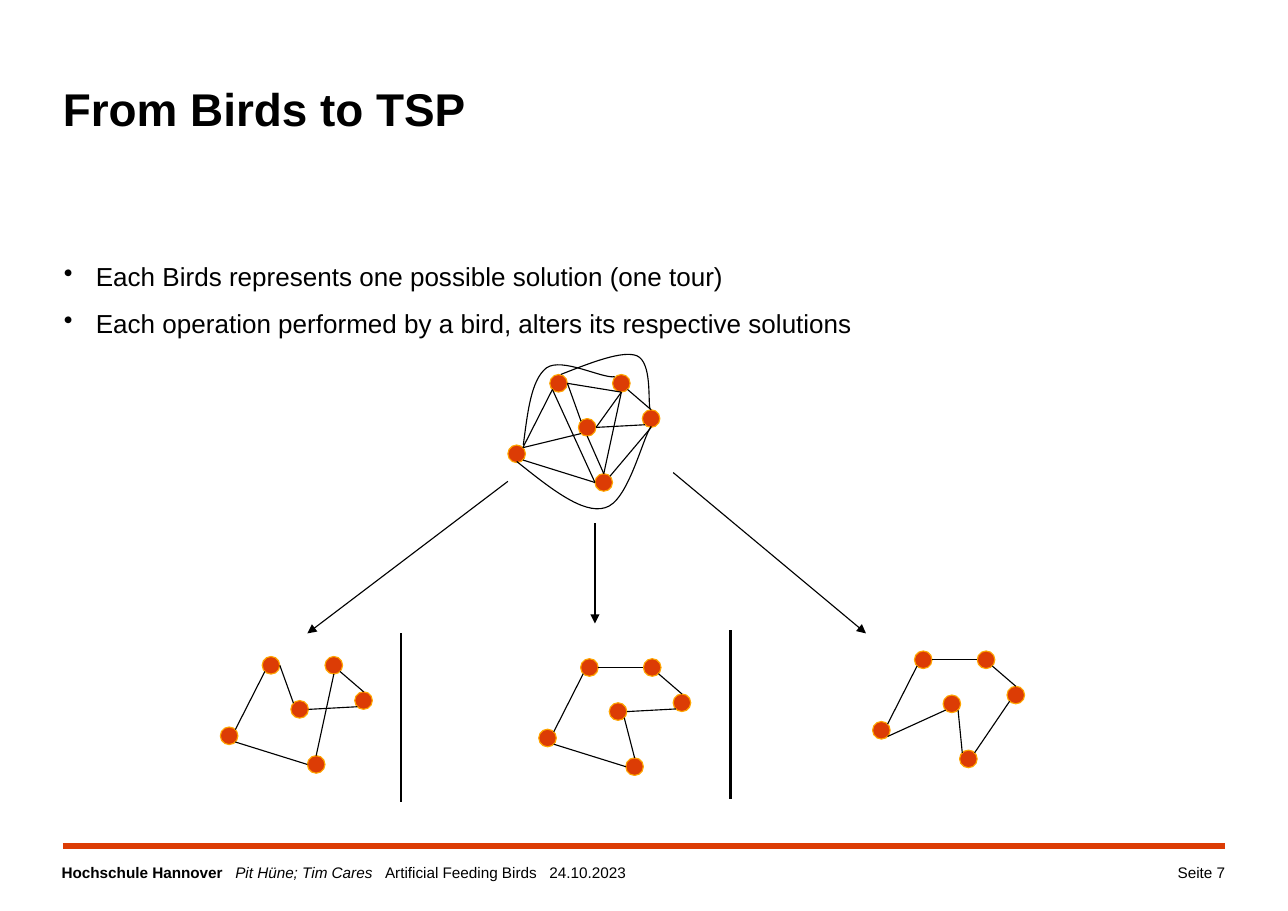
import pptx
import pptx.util
import pptx.dml.color
import pptx.enum.shapes
import pptx.enum.text
import pptx.oxml
import pptx.oxml.ns
from lxml import etree
from pptx.util import Inches

DOT = 0.16
NODES = {"A": (0.38, 0), "M": (0.64, 0.4), "B": (0.95, 0),
         "L": (0, 0.64), "R": (1.22, 0.32), "D": (0.79, 0.9)}
SITES = {"n": (0, -1), "s": (0, 1), "e": (1, 0), "w": (-1, 0),
         "ne": (0.7, -0.7), "nw": (-0.7, -0.7),
         "se": (0.7, 0.7), "sw": (-0.7, 0.7)}
TOURS = [
    (4.89, 5.98, "Lne-Asw Ae-Bw Me-Rsw Bse-Rn Mse-Dn Dw-Lse"),
    (7.92, 5.91, "Lne-Asw Ae-Bw Dne-Rsw Bse-Rn Mse-Dnw Msw-Lse"),
    (2, 5.96, "Lne-Asw Ae-Mnw Me-Rsw Bse-Rn Bs-Dn Dw-Lse"),
    (4.61, 3.4, "Lne-Asw Ae-Mnw Me-Rsw Bse-Rn Bs-Dn Dw-Lse "
                "Rs-Dne Bs-Ae Bs-Me Asw-Dw Lne-Msw Ms-Dn"),
]
CURVES = [
    [(5.09, 3.4), (5.37, 3.29), (5.65, 3.18), (5.78, 3.23),
     (5.92, 3.29), (5.88, 3.64), (5.9, 3.71)],
    [(4.69, 4.19), (4.99, 4.43), (5.29, 4.67), (5.49, 4.61),
     (5.7, 4.56), (5.83, 3.98), (5.91, 3.87)],
    [(4.75, 4.04), (4.79, 3.74), (4.82, 3.45), (4.96, 3.34),
     (5.1, 3.24), (5.47, 3.44), (5.58, 3.42)],
]
ARROWS = [((4.61, 4.37), (2.79, 5.75)), ((5.4, 4.75), (5.4, 5.66)),
          ((6.11, 4.29), (7.86, 5.75))]
BULLETS = ["Each Birds represents one possible solution (one tour)",
           "Each operation performed by a bird, alters its respective solutions"]


def rgb(value):
    return pptx.dml.color.RGBColor.from_string(value)


def add_run(p, text, size=10, bold=False, italic=False):
    r = p.add_run()
    r.text = text
    r.font.name = Deck.font
    r.font.size = pptx.util.Pt(size)
    r.font.bold = bold
    r.font.italic = italic
    r.font.color.rgb = rgb(Deck.ink)


class Deck:
    font = "Arial"
    ink = "000000"
    accent = "DC3C05"
    rim = "FFA500"

    def __init__(self, s):
        self.s = s

    def text(self, x, y, w, h):
        tf = self.s.shapes.add_textbox(Inches(x), Inches(y), Inches(w), Inches(h)).text_frame
        tf.word_wrap = True
        tf.margin_left = tf.margin_right = tf.margin_top = tf.margin_bottom = 0
        return tf

    def bullets(self, tf, lines):
        for i, line in enumerate(lines):
            p = tf.add_paragraph() if i else tf.paragraphs[0]
            p.line_spacing = 1.1
            p.space_after = pptx.util.Pt(8)
            pPr = p._p.get_or_add_pPr()
            pPr.set("marL", str(Inches(0.3)))
            pPr.set("indent", str(Inches(-0.29)))
            etree.SubElement(pPr, pptx.oxml.ns.qn("a:buChar")).set("char", "•")
            add_run(p, line, size=17)

    def line(self, start, end, width=0.75, color=ink, arrow=False):
        c = self.s.shapes.add_connector(
            pptx.enum.shapes.MSO_CONNECTOR.STRAIGHT,
            *[Inches(v) for v in (*start, *end)])
        c.line.width = pptx.util.Pt(width)
        c.line.color.rgb = rgb(color)
        if arrow:
            ln = c.line._get_or_add_ln()
            etree.SubElement(ln, pptx.oxml.ns.qn("a:tailEnd")).set("type", "triangle")
        etree.SubElement(c._element.spPr, pptx.oxml.ns.qn("a:effectLst"))

    def dot(self, x, y):
        sp = self.s.shapes.add_shape(
            pptx.enum.shapes.MSO_SHAPE.OVAL,
            Inches(x), Inches(y), Inches(DOT), Inches(DOT))
        sp.shadow.inherit = False
        sp.fill.solid()
        sp.fill.fore_color.rgb = rgb(self.accent)
        sp.line.color.rgb = rgb(self.rim)
        sp.line.width = pptx.util.Pt(0.75)

    def graph(self, x, y, edges):
        for dx, dy in NODES.values():
            self.dot(x + dx, y + dy)

        def anchor(end):
            (dx, dy), (sx, sy) = NODES[end[0]], SITES[end[1:]]
            return x + dx + DOT / 2 * (1 + sx), y + dy + DOT / 2 * (1 + sy)

        for edge in edges.split():
            start, end = edge.split("-")
            self.line(anchor(start), anchor(end))

    def curve(self, points):
        emu = [(Inches(x), Inches(y)) for x, y in points]
        fb = self.s.shapes.build_freeform(*emu[0])
        fb.add_line_segments(emu[1:], close=False)
        sp = fb.convert_to_shape()
        sp.shadow.inherit = False
        sp.fill.background()
        sp.line.color.rgb = rgb(self.ink)
        sp.line.width = pptx.util.Pt(0.75)
        route = sp._element.find(".//" + pptx.oxml.ns.qn("a:path"))
        steps = route.findall(pptx.oxml.ns.qn("a:lnTo"))
        for i in range(0, len(steps), 3):
            bezier = etree.SubElement(route, pptx.oxml.ns.qn("a:cubicBezTo"))
            for step in steps[i:i + 3]:
                bezier.append(step[0])
                route.remove(step)


def main():
    prs = pptx.Presentation()
    prs.slide_width = Inches(11.69)
    prs.slide_height = Inches(8.27)
    deck = Deck(prs.slides.add_slide(prs.slide_layouts[6]))

    p = deck.text(0.56, 7.84, 8.44, 0.24).paragraphs[0]
    add_run(p, "Hochschule Hannover   ", bold=True)
    add_run(p, "Pit Hüne; Tim Cares   ", italic=True)
    add_run(p, "Artificial Feeding Birds   24.10.2023")
    deck.line((0.57, 7.68), (11.12, 7.68), width=4, color=Deck.accent)
    p = deck.text(9.78, 7.84, 1.34, 0.25).paragraphs[0]
    p.alignment = pptx.enum.text.PP_ALIGN.RIGHT
    add_run(p, "Seite 7")

    p = deck.text(0.57, 0.73, 10.55, 1.04).paragraphs[0]
    add_run(p, "From Birds to TSP", size=30, bold=True)
    deck.bullets(deck.text(0.57, 2.34, 9.21, 4.95), BULLETS)

    for x, y, edges in TOURS:
        deck.graph(x, y, edges)
    for points in CURVES:
        deck.curve(points)
    for start, end in ARROWS:
        deck.line(start, end, arrow=True)
    for x, y in ((3.64, 5.75), (6.63, 5.72)):
        deck.line((x, y), (x, y + 1.53), width=1.5)

    prs.save("out.pptx")


if __name__ == "__main__":
    main()
